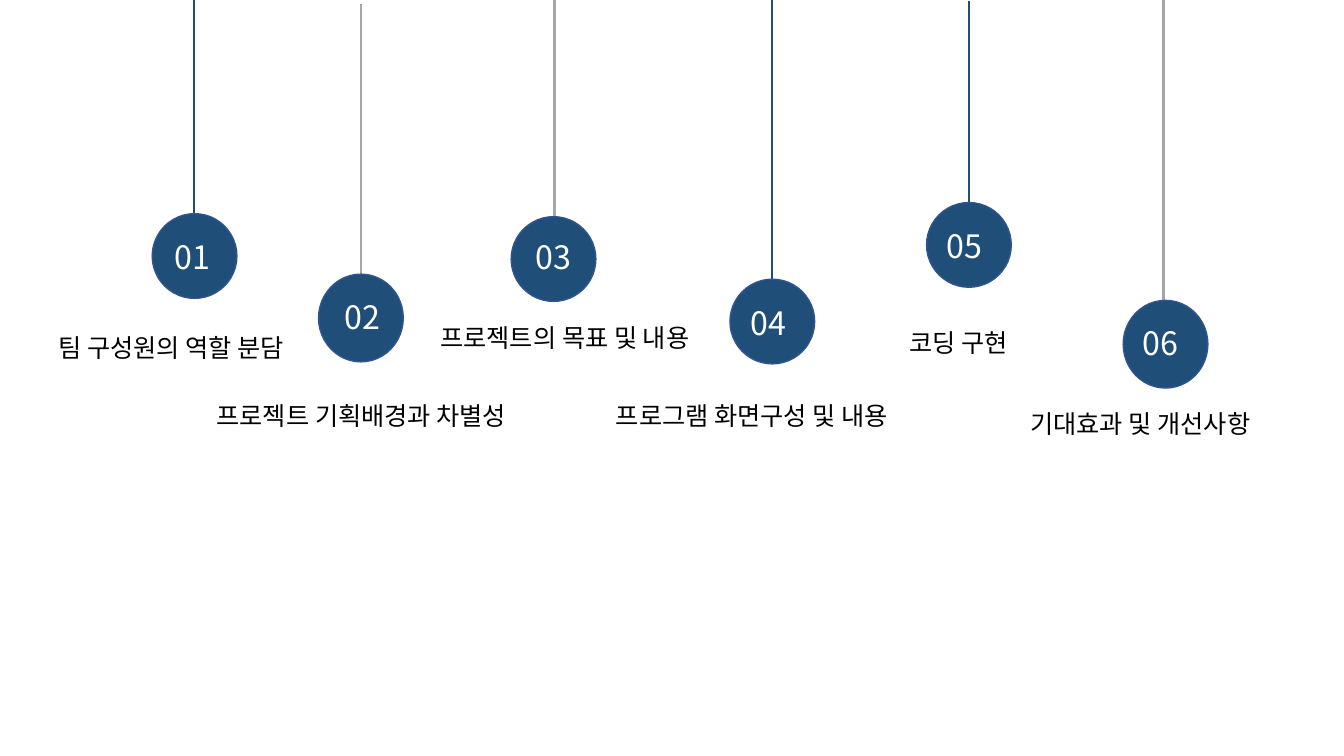
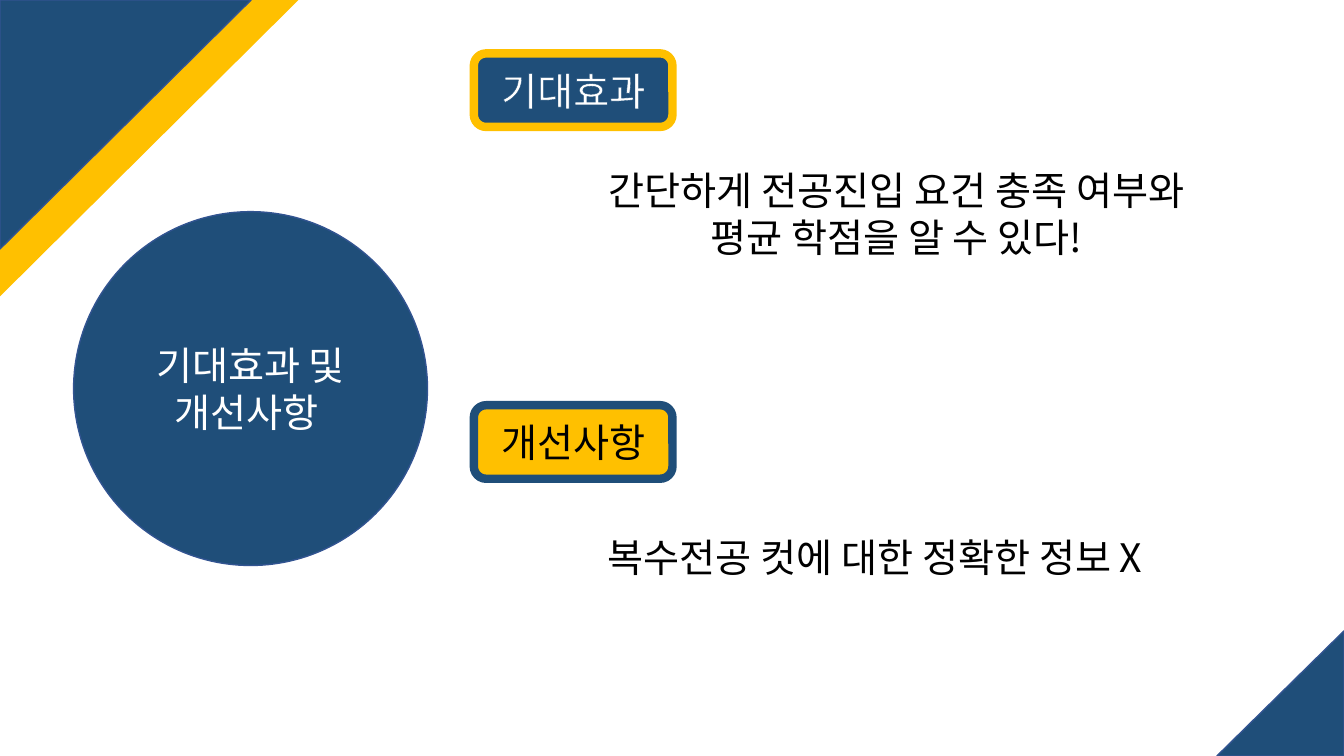
"""Build the hanging agenda and the outcome slide."""
from dataclasses import dataclass
from typing import Any

from lxml import etree
from pptx import Presentation
from pptx import util as u
from pptx.dml import color
from pptx.enum import shapes, text
from pptx.oxml import ns

FONT = "Noto Sans CJK KR"
NAVY, GOLD, GREY, EDGE = "1F4E79", "FFC000", "A6A6A6", "325491"
WHITE, BLACK = "FFFFFF", "000000"
DISC_WIDTH = 0.84
CENTERED = {"alignment": text.PP_ALIGN.CENTER}
Box = tuple[float, float, float, float]


@dataclass(frozen=True)
class Pendulum:
    stem_x: float
    stem_top: float
    stem_color: str
    disc_left: float
    disc_top: float
    disc_height: float
    number_at: tuple[float, float]
    label: str
    label_box: Box


@dataclass(frozen=True)
class Corner:
    box: Box
    fill: str
    edge: str | None
    rotation: int


@dataclass(frozen=True)
class Tag:
    caption: str
    top: float
    fill: str
    border: str
    ink: str


PENDULUMS = (
    Pendulum(1.92, 0, NAVY, 1.51, 2.12, 0.84, (1.63, 2.31),
             "팀 구성원의 역할 분담", (0.48, 3.25, 4.3, 0.4)),
    Pendulum(3.58, 0.04, GREY, 3.16, 2.72, 0.87, (3.32, 2.9),
             "프로젝트 기획배경과 차별성", (2.05, 3.92, 4.49, 0.4)),
    Pendulum(5.5, 0, GREY, 5.07, 2.15, 0.84, (5.21, 2.31),
             "프로젝트의 목표 및 내용", (4.27, 3.15, 5.07, 0.4)),
    Pendulum(7.66, 0, NAVY, 7.24, 2.77, 0.84, (7.35, 2.96),
             "프로그램 화면구성 및 내용", (6.01, 3.92, 4.14, 0.4)),
    Pendulum(9.61, 0.01, NAVY, 9.19, 2.01, 0.84, (9.29, 2.2),
             "코딩 구현", (8.92, 3.2, 1.79, 0.4)),
    Pendulum(11.54, 0, GREY, 11.14, 2.98, 0.87, (11.23, 3.16),
             "기대효과 및 개선사항", (10.12, 4, 3.2, 0.4)),
)
CORNERS = (
    Corner((0, 0, 2.96, 2.94), GOLD, None, 180),
    Corner((12.07, 6.26, 1.26, 1.24), NAVY, EDGE, 0),
    Corner((0, 0, 2.49, 2.47), NAVY, EDGE, 180),
)
TAGS = (
    Tag("기대효과", 0.53, NAVY, GOLD, WHITE),
    Tag("개선사항", 4.02, GOLD, NAVY, BLACK),
)


def rgb(value: str) -> color.RGBColor:
    """Turn a hex string into a colour."""
    return color.RGBColor.from_string(value)


def apply(target: Any, values: dict[str, Any]) -> None:
    """Set every format value on the target."""
    for name, value in values.items():
        setattr(target, name, value)


def inches(box: Box) -> list[u.Length]:
    """Convert a box to lengths."""
    return [u.Inches(value) for value in box]


def write(frame: Any, content: str, size: int, ink: str,
          layout: dict[str, Any], outline: str | None = None) -> None:
    """Write one paragraph per line of content."""
    frame.text = content
    for paragraph in frame.paragraphs:
        apply(paragraph, layout)
        for run in paragraph.runs:
            apply(run.font, {"size": u.Pt(size), "name": FONT})
            run.font.color.rgb = rgb(ink)
            properties = run.font._element
            etree.SubElement(properties, ns.qn("a:ea"), typeface=FONT)
            if outline:
                line = etree.Element(ns.qn("a:ln"), w=str(u.Pt(0.75)))
                fill = etree.SubElement(line, ns.qn("a:solidFill"))
                etree.SubElement(fill, ns.qn("a:srgbClr"), val=outline)
                properties.insert(0, line)


def add_text(slide: Any, box: Box, content: str, size: int, ink: str = BLACK,
             layout: dict[str, Any] | None = None, wrap: bool = True) -> None:
    """Add a text box that grows with its text."""
    frame = slide.shapes.add_textbox(*inches(box)).text_frame
    apply(frame, {"word_wrap": wrap,
                  "auto_size": text.MSO_AUTO_SIZE.SHAPE_TO_FIT_TEXT})
    write(frame, content, size, ink, layout or {})


def add_figure(slide: Any, kind: shapes.MSO_SHAPE, box: Box, fill: str,
               edge: str | None = EDGE, width: float = 1) -> Any:
    """Add a filled preset shape without a shadow."""
    shape = slide.shapes.add_shape(kind, *inches(box))
    shape.shadow.inherit = False
    shape.fill.solid()
    shape.fill.fore_color.rgb = rgb(fill)
    if edge:
        shape.line.color.rgb = rgb(edge)
        shape.line.width = u.Pt(width)
    else:
        shape.line.fill.background()
    apply(shape.text_frame, {"word_wrap": True,
                             "vertical_anchor": text.MSO_ANCHOR.MIDDLE})
    return shape


def add_stem(slide: Any, x: float, top: float, bottom: float, ink: str) -> None:
    """Add a vertical line."""
    stem = slide.shapes.add_connector(
        shapes.MSO_CONNECTOR.STRAIGHT, *inches((x, top, x, bottom)))
    stem.line.color.rgb = rgb(ink)
    stem.line.width = u.Pt(1.5)
    etree.SubElement(stem._element.spPr, ns.qn("a:effectLst"))


def build_agenda(slide: Any) -> None:
    """Hang the six numbered topics from the top edge."""
    for number, item in enumerate(PENDULUMS, 1):
        add_stem(slide, item.stem_x, item.stem_top, item.disc_top + 0.2,
                 item.stem_color)
        add_figure(slide, shapes.MSO_SHAPE.OVAL,
                   (item.disc_left, item.disc_top, DISC_WIDTH, item.disc_height),
                   NAVY)
        add_text(slide, (*item.number_at, 0.61, 0.49), f"{number:02}", 23, WHITE,
                 wrap=False)
    for item in PENDULUMS:
        add_text(slide, item.label_box, item.label, 18)


def build_outcome(slide: Any) -> None:
    """Show the expected effects and the improvements."""
    for corner in CORNERS:
        triangle = add_figure(slide, shapes.MSO_SHAPE.ISOSCELES_TRIANGLE,
                              corner.box, corner.fill, corner.edge)
        triangle.adjustments[0] = 1
        triangle.rotation = corner.rotation
    disc = add_figure(slide, shapes.MSO_SHAPE.OVAL, (0.73, 2.1, 3.51, 3.51), NAVY)
    write(disc.text_frame, "기대효과 및 개선사항 ", 28, WHITE, CENTERED)
    for tag in TAGS:
        shape = add_figure(slide, shapes.MSO_SHAPE.ROUNDED_RECTANGLE,
                           (4.7, tag.top, 1.97, 0.73), tag.fill, tag.border, 6)
        write(shape.text_frame, tag.caption, 28, tag.ink, CENTERED, NAVY)
    add_text(slide, (5.18, 1.6, 7.42, 1.04),
             "간단하게 전공진입 요건 충족 여부와\n평균 학점을 알 수 있다!", 28,
             layout=CENTERED)
    add_text(slide, (5.93, 5.24, 6.67, 0.57), "복수전공 컷에 대한 정확한 정보 X", 28)


def main() -> None:
    """Build and save the presentation."""
    presentation = Presentation()
    apply(presentation, {"slide_width": u.Inches(13.33),
                         "slide_height": u.Inches(7.5)})
    for build in (build_agenda, build_outcome):
        build(presentation.slides.add_slide(presentation.slide_layouts[6]))
    presentation.save("out.pptx")


if __name__ == "__main__":
    main()
